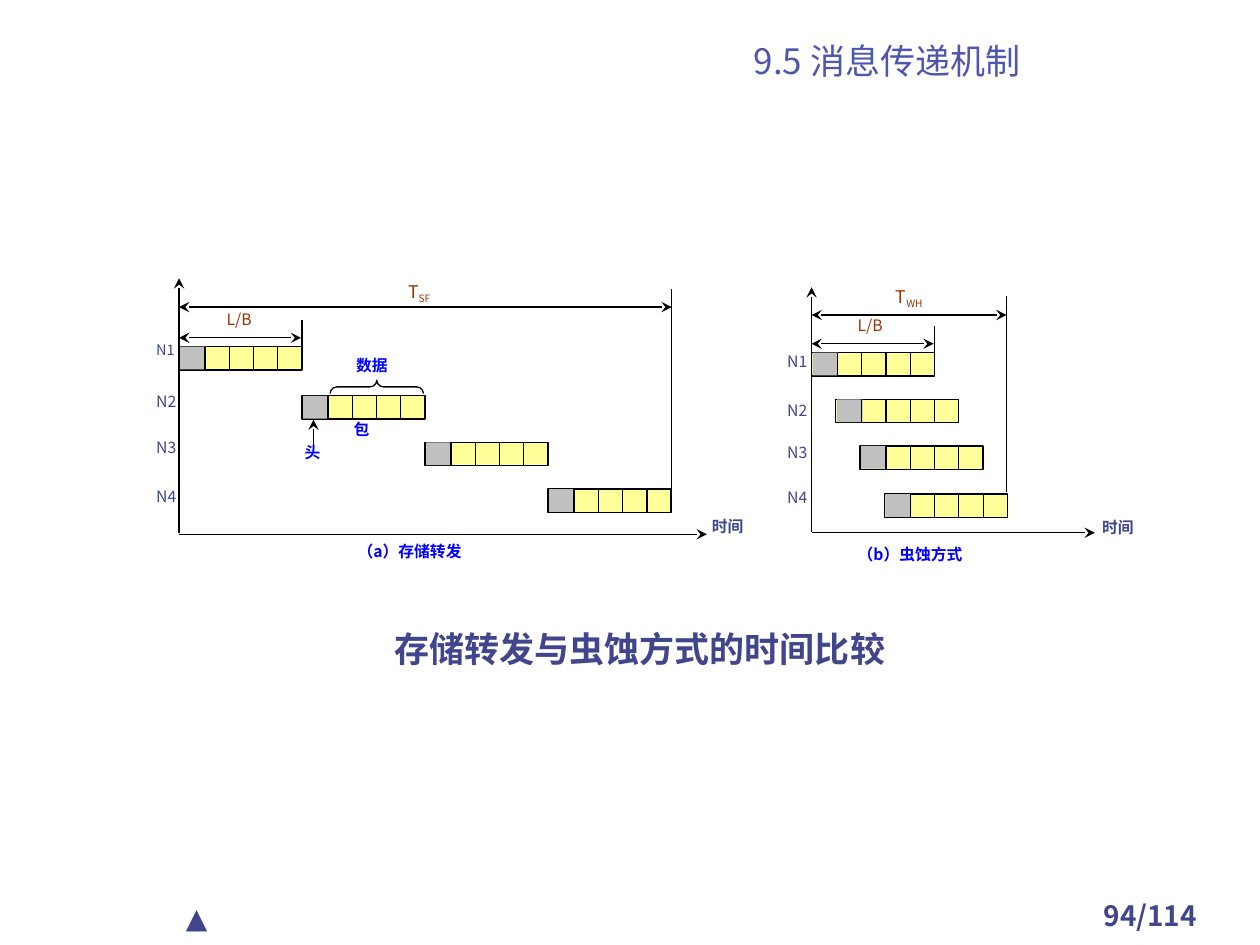
from dataclasses import dataclass

import lxml.etree
import pptx
import pptx.dml.color
import pptx.enum.shapes
import pptx.enum.text
import pptx.oxml
import pptx.oxml.ns
import pptx.util

Cm = pptx.util.Cm
Pt = pptx.util.Pt
qn = pptx.oxml.ns.qn
rgb = pptx.dml.color.RGBColor.from_string
shape_kind = pptx.enum.shapes.MSO_SHAPE
align_kind = pptx.enum.text.PP_ALIGN
anchor_kind = pptx.enum.text.MSO_ANCHOR


@dataclass(frozen=True)
class Theme:
    """Colours, fonts and sizes of the slide."""
    navy: str = "40458C"
    title: str = "4F56AD"
    blue: str = "0000FF"
    brown: str = "993300"
    black: str = "000000"
    data: str = "FFFF99"
    header: str = "C0C0C0"
    sans: str = "Noto Sans CJK SC"
    serif: str = "Times New Roman"
    display: str = "Karla"
    heading_size: float = 20
    tail_size: float = 26
    footer_size: float = 16
    span_size: float = 10
    label_size: float = 9
    first_label_size: float = 8.3
    line: float = 0.74


theme = Theme()
deck = pptx.Presentation()
deck.slide_width, deck.slide_height = Cm(25.4), Cm(19.05)
page = deck.slides.add_slide(deck.slide_layouts[6])


def write_text(text, left, top, width, height, **style):
    """Add a text box; text is a string or a list of (text, overrides) spans."""
    box = page.shapes.add_textbox(Cm(left), Cm(top), Cm(width), Cm(height))
    frame = box.text_frame
    frame.word_wrap = True
    frame.vertical_anchor = style.get("anchor", anchor_kind.TOP)
    para = frame.paragraphs[0]
    para.alignment = style.get("align", align_kind.JUSTIFY)
    para.line_spacing = style.get("spacing")
    for words, changes in [(text, {})] if isinstance(text, str) else text:
        look = {**style, **changes}
        span = para.add_run()
        span.text = words
        span.font.name = look.get("font", theme.sans)
        span.font.size = Pt(look.get("size", theme.label_size))
        span.font.bold = look.get("bold", False)
        span.font.color.rgb = rgb(look.get("color", theme.navy))
        properties = span.font._element
        lxml.etree.SubElement(properties, qn("a:ea")).set("typeface", theme.sans)
        if "baseline" in look:
            properties.set("baseline", str(look["baseline"]))


def draw_line(start_x, start_y, end_x, end_y, ends=()):
    """Add a thin black line with stealth heads at the named ends."""
    line = page.shapes.add_connector(
        pptx.enum.shapes.MSO_CONNECTOR.STRAIGHT,
        Cm(start_x), Cm(start_y), Cm(end_x), Cm(end_y))
    line.line.width = Pt(theme.line)
    line.line.color.rgb = rgb(theme.black)
    for end in ends:
        head = lxml.etree.SubElement(line.line._get_or_add_ln(), qn("a:" + end))
        head.set("type", "stealth")
    lxml.etree.SubElement(line._element.spPr, qn("a:effectLst"))


tail_arrow = ("tailEnd",)
both_arrows = ("headEnd", "tailEnd")

# Page furniture
write_text("94/114", 21.39, 17.98, 3.6, 0.84, size=theme.footer_size, bold=True,
           align=align_kind.CENTER)
write_text("▲", 3.5, 18.03, 3.6, 0.94, size=theme.footer_size,
           font=theme.display, align=align_kind.LEFT)
write_text("9.5 消息传递机制", 10.8, 0.69, 14.17, 1.07, size=theme.heading_size,
           color=theme.title, align=align_kind.CENTER, anchor=anchor_kind.BOTTOM)

# Timing diagrams
packet_width, packet_height = 2.48, 0.47
header_width, cell_width = 0.52, 0.49
panels = [
    dict(origin=3.61, step=packet_width, rows=(6.99, 7.98, 8.92, 9.86),
         label_left=2.9, labels=(6.78, 7.77, 8.71, 9.68),
         first_size=theme.first_label_size, first_spacing=0.9,
         axis=(10.74, 5.61), total_y=6.19, end_x=13.54, end_line=(10.06, 5.82),
         length_y=6.81, time_y=10.77, time_end=14.25,
         total="SF", total_at=(7.98, 5.54), length_at=(4.32, 6.12),
         time_at=(14.1, 10.29), caption_at=(6.96, 10.8),
         caption=[("(a)存储转发".replace("(", "（").replace(")", "）"), {})]),
    dict(origin=16.36, step=cell_width, rows=(7.11, 8.05, 8.99, 9.96),
         label_left=15.62, labels=(6.96, 7.95, 8.81, 9.7),
         first_size=theme.label_size, first_spacing=None,
         axis=(10.72, 5.79), total_y=6.35, end_x=20.29, end_line=(9.91, 5.97),
         length_y=6.93, time_y=10.74, time_end=22.07,
         total="WH", total_at=(17.81, 5.64), length_at=(17.04, 6.25),
         time_at=(21.97, 10.31), caption_at=(17.04, 10.85),
         caption=[("（b）", {}), ("虫蚀方式", {"font": theme.serif})]),
]

for panel in panels:
    origin = panel["origin"]
    length_end = origin + packet_width
    draw_line(panel["end_x"], panel["end_line"][0], panel["end_x"], panel["end_line"][1])

    for index, top in enumerate(panel["rows"]):
        left = origin + index * panel["step"]
        for x, width, height, fill in (
                (left, packet_width, packet_height, theme.data),
                (left + 0.02, header_width, packet_height - 0.01, theme.header)):
            block = page.shapes.add_shape(
                shape_kind.RECTANGLE, Cm(x), Cm(top), Cm(width), Cm(height))
            block.shadow.inherit = False
            block.fill.solid()
            block.fill.fore_color.rgb = rgb(fill)
            if fill == theme.header:
                block.line.fill.background()
            else:
                block.line.width = Pt(theme.line)
                block.line.color.rgb = rgb(theme.black)
        for cell in range(4):
            x = left + header_width + cell * cell_width
            draw_line(x, top, x, top + packet_height)
        write_text(f"N{index + 1}", panel["label_left"], panel["labels"][index], 0.91, 0.79,
                   size=theme.label_size if index else panel["first_size"],
                   spacing=None if index else panel["first_spacing"])

    draw_line(origin, panel["axis"][0], origin, panel["axis"][1], tail_arrow)
    draw_line(origin, panel["time_y"], panel["time_end"], panel["time_y"], tail_arrow)
    draw_line(origin, panel["total_y"], panel["end_x"], panel["total_y"], both_arrows)
    draw_line(origin, panel["length_y"], length_end - 0.02, panel["length_y"], both_arrows)
    draw_line(length_end, panel["rows"][0], length_end, panel["rows"][0] - 0.53)

    write_text([("T", {}), (panel["total"], {"baseline": -25000})],
               *panel["total_at"], 1.17, 0.84, size=theme.span_size, color=theme.brown)
    write_text("L/B", *panel["length_at"], 1.42, 0.84, color=theme.brown)
    write_text("时间", *panel["time_at"], 1.32, 0.81, font=theme.serif, bold=True)
    write_text(panel["caption"], *panel["caption_at"], 3.38, 0.86,
               color=theme.blue, bold=True)

# Parts of a packet
brace = page.shapes.add_shape(
    shape_kind.LEFT_BRACE, Cm(7.46), Cm(6.86), Cm(0.27), Cm(1.88))
brace.rotation = 90
brace.adjustments[0] = 0.5
brace.shadow.inherit = False
brace.fill.background()
brace.line.width = Pt(theme.line)
brace.line.color.rgb = rgb(theme.black)
draw_line(6.32, 8.99, 6.32, 8.46, tail_arrow)
for words, left, top, width in (
        ("数据", 6.93, 7.04, 1.32), ("包", 6.88, 8.33, 1.14), ("头", 5.89, 8.81, 1.19)):
    write_text(words, left, top, width, 0.81, font=theme.serif,
               color=theme.blue, bold=True)

write_text([("存储转发与虫蚀方式的时间比较", {}),
            (" ", {"size": theme.tail_size, "bold": False})],
           7.7, 12.32, 11, 1.37, size=theme.heading_size, font=theme.display,
           bold=True, align=align_kind.LEFT)

deck.save("out.pptx")
